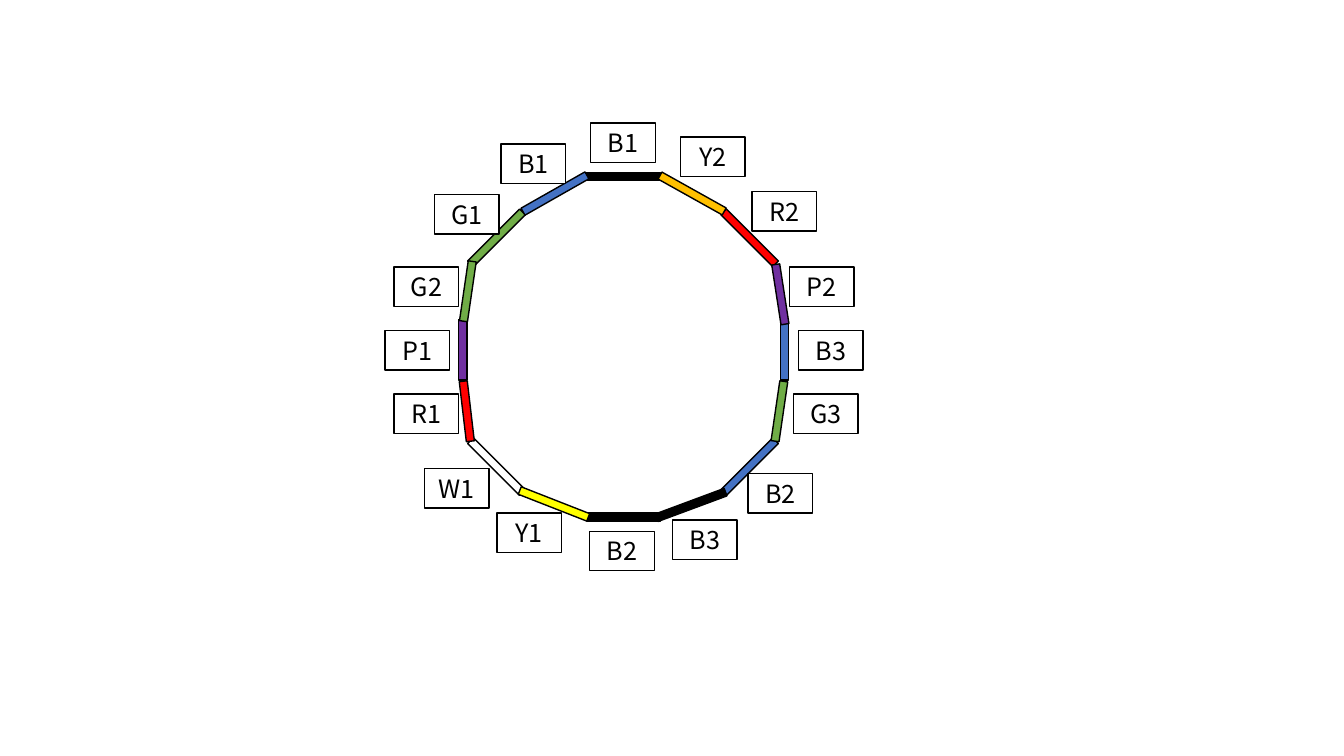
"""Draw a ring of sixteen coloured segments, each with a boxed label beside it."""
from pptx import Presentation
from pptx.dml.color import RGBColor
from pptx.enum.shapes import MSO_SHAPE
from pptx.enum.text import MSO_ANCHOR, PP_ALIGN
from pptx.util import Inches, Pt

COLORS = {
    "black": "000000", "white": "FFFFFF", "purple": "7030A0", "blue": "4472C4",
    "red": "FF0000", "green": "70AD47", "orange": "FFC000", "yellow": "FFFF00",
}
CELL = Inches(0.01)
COLUMNS, ROWS = 1333, 750
LONG, SHORT, THICKNESS = 73, 60, 8
LABEL_WIDTH, LABEL_HEIGHT = 64, 39
LABEL_FONT = {"name": "Noto Sans CJK KR", "size": Pt(18)}

# label, colour, segment column, row, length and angle, label column and row
RING = [
    ("B1", "black", 582, 171, LONG, 0, 586, 122),
    ("B2", "black", 582, 509, LONG, 0, 585, 527),
    ("P1", "purple", 429, 343, SHORT, 90, 382, 328),
    ("B3", "blue", 748, 343, SHORT, 90, 792, 328),
    ("R2", "red", 707, 232, LONG, 45, 746, 190),
    ("W1", "white", 456, 459, LONG, 45, 421, 465),
    ("G1", "green", 456, 232, LONG, 315, 431, 193),
    ("B2", "blue", 707, 459, LONG, 315, 742, 470),
    ("B3", "black", 649, 497, LONG, 339.6, 667, 516),
    ("Y2", "orange", 650, 188, LONG, 29.2, 675, 136),
    ("B1", "blue", 514, 188, LONG, 330.4, 497, 143),
    ("Y1", "yellow", 513, 496, LONG, 21.4, 493, 509),
    ("G2", "green", 434, 285, SHORT, 98.3, 391, 265),
    ("R1", "red", 433, 404, SHORT, 83.3, 391, 391),
    ("G3", "green", 743, 404, SHORT, 98.3, 787, 391),
    ("P2", "purple", 744, 288, SHORT, 81.2, 783, 265),
]

deck = Presentation()
deck.slide_width, deck.slide_height = COLUMNS * CELL, ROWS * CELL
slide = deck.slides.add_slide(deck.slide_layouts[6])


def add_box(column, row, width, height, color):
    """Add an outlined rectangle measured in grid cells."""
    lengths = [cells * CELL for cells in (column, row, width, height)]
    box = slide.shapes.add_shape(MSO_SHAPE.RECTANGLE, *lengths)
    box.shadow.inherit = False
    box.fill.solid()
    box.fill.fore_color.rgb = RGBColor.from_string(COLORS[color])
    box.line.color.rgb = RGBColor.from_string(COLORS["black"])
    box.line.width = Pt(1)
    return box


for _, color, column, row, length, angle, _, _ in RING:
    segment = add_box(column, row, length, THICKNESS, color)
    segment.rotation = angle

for label, _, _, _, _, _, column, row in RING:
    box = add_box(column, row, LABEL_WIDTH, LABEL_HEIGHT, "white")
    box.text_frame.vertical_anchor = MSO_ANCHOR.MIDDLE
    para = box.text_frame.paragraphs[0]
    para.alignment = PP_ALIGN.CENTER
    span = para.add_run()
    span.text = label
    for attribute, value in LABEL_FONT.items():
        setattr(span.font, attribute, value)
    span.font.color.rgb = RGBColor.from_string(COLORS["black"])

deck.save("out.pptx")
